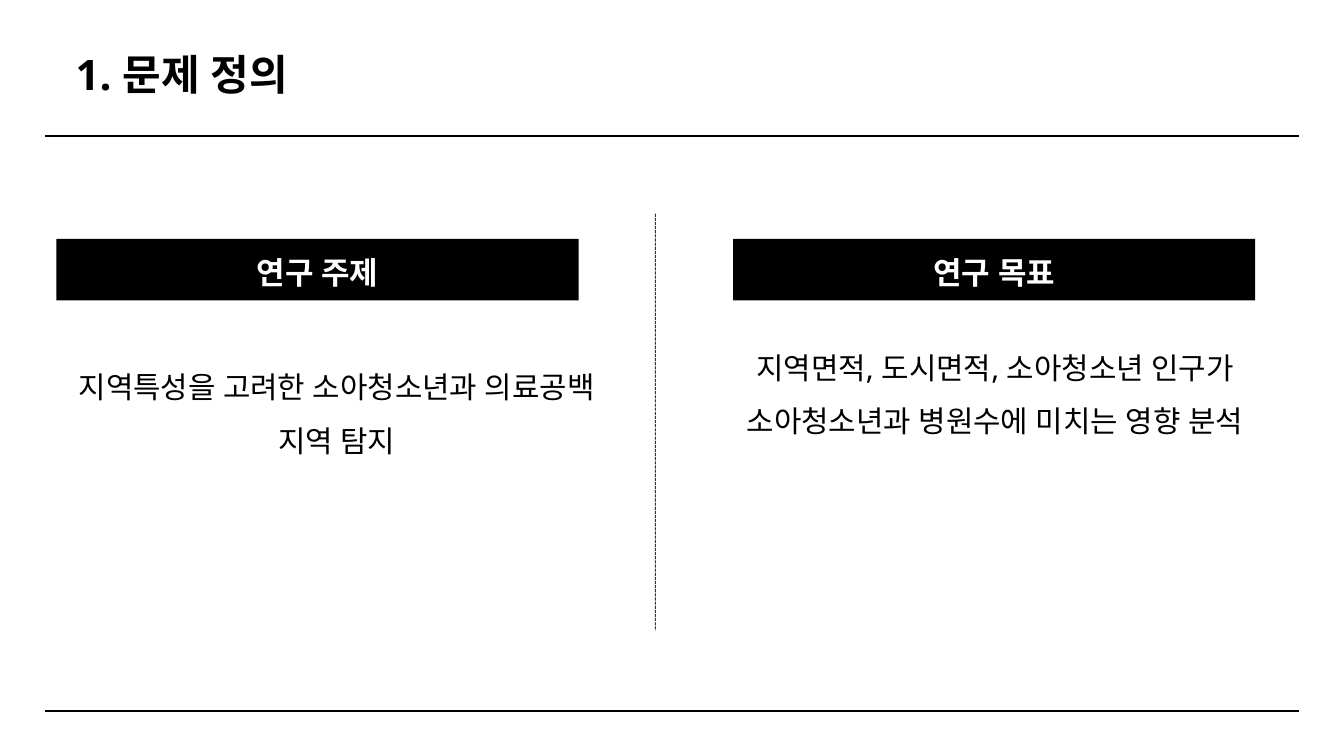
from lxml import etree
from pptx import Presentation
from pptx import util as u
from pptx.dml.color import RGBColor
from pptx.enum import dml, shapes, text
from pptx.oxml.ns import qn

W, H = 13.33, 7.5
FONT = "Noto Sans"
COLORS = {"ink": "000000", "paper": "FFFFFF"}
COL_W = 5.18
BAR_TOP, BAR_H = 2.37, 0.61
LABEL_INSET = 0.56
COLUMNS = [
    (0.56, "연구 주제", (0.75, 3.48, COL_W, 1.02),
     "지역특성을 고려한 소아청소년과 의료공백 지역 탐지"),
    (7.27, "연구 목표", (7.28, 3.29, COL_W, 1.56),
     "지역면적, 도시면적, 소아청소년 인구가 소아청소년과 병원수에 미치는 영향 분석"),
]
TITLE = {"size": 30, "bold": True, "color": "ink", "spacing": u.Pt(30),
         "align": text.PP_ALIGN.JUSTIFY}
LABEL = {"size": 22.1, "bold": True, "color": "paper", "spacing": u.Pt(30.9),
         "align": text.PP_ALIGN.CENTER}
BODY = {"size": 21.3, "bold": False, "color": "ink", "spacing": 1.5,
        "align": text.PP_ALIGN.CENTER}


def rgb(name):
    return RGBColor.from_string(COLORS[name])


def inches(*values):
    return [u.Inches(v) for v in values]


def add_text(s, box, words, style):
    tf = s.shapes.add_textbox(*inches(*box)).text_frame
    frame = {"word_wrap": True, "auto_size": text.MSO_AUTO_SIZE.SHAPE_TO_FIT_TEXT,
             "margin_left": 0, "margin_right": 0, "margin_top": 0, "margin_bottom": 0}
    for key, value in frame.items():
        setattr(tf, key, value)
    p = tf.paragraphs[0]
    p.alignment, p.line_spacing = style["align"], style["spacing"]
    r = p.add_run()
    r.text = words
    for key, value in {"name": FONT, "size": u.Pt(style["size"]),
                       "bold": style["bold"]}.items():
        setattr(r.font, key, value)
    r.font.color.rgb = rgb(style["color"])
    etree.SubElement(r.font._element, qn("a:ea"), typeface=FONT)


def add_line(s, ends, width, dash=None, opacity=None):
    sp = s.shapes.add_connector(shapes.MSO_CONNECTOR.STRAIGHT, *inches(*ends))
    sp.line.width = u.Pt(width)
    sp.line.color.rgb = rgb("ink")
    if dash:
        sp.line.dash_style = dash
    props = sp._element.spPr
    if opacity:
        color = props.find(".//" + qn("a:srgbClr"))
        etree.SubElement(color, qn("a:alpha"), val=str(opacity * 1000))
    etree.SubElement(props, qn("a:effectLst"))


def add_bar(s, box):
    sp = s.shapes.add_shape(shapes.MSO_SHAPE.RECTANGLE, *inches(*box))
    sp.shadow.inherit = False
    sp.fill.solid()
    sp.fill.fore_color.rgb = rgb("ink")
    sp.line.fill.background()


def main():
    prs = Presentation()
    prs.slide_width, prs.slide_height = inches(W, H)
    s = prs.slides.add_slide(prs.slide_layouts[6])
    s.background.fill.solid()
    s.background.fill.fore_color.rgb = rgb("paper")
    for y in (0.18 * H, 0.94 * H):
        add_line(s, (0.45, y, W - 0.45, y), 1.5)
    add_text(s, (0.75, 0.56, 2.26, 0.42), "1. 문제 정의", TITLE)
    add_line(s, (6.5, 2.12, 6.5, 6.26), 0.75, dml.MSO_LINE.SQUARE_DOT, 80)
    for left, label, body_box, body in COLUMNS:
        add_bar(s, (left, BAR_TOP, COL_W, BAR_H))
        add_text(s, (left + LABEL_INSET, 2.46, COL_W - 2 * LABEL_INSET, 0.4), label, LABEL)
        add_text(s, body_box, body, BODY)
    prs.save("out.pptx")


if __name__ == "__main__":
    main()
